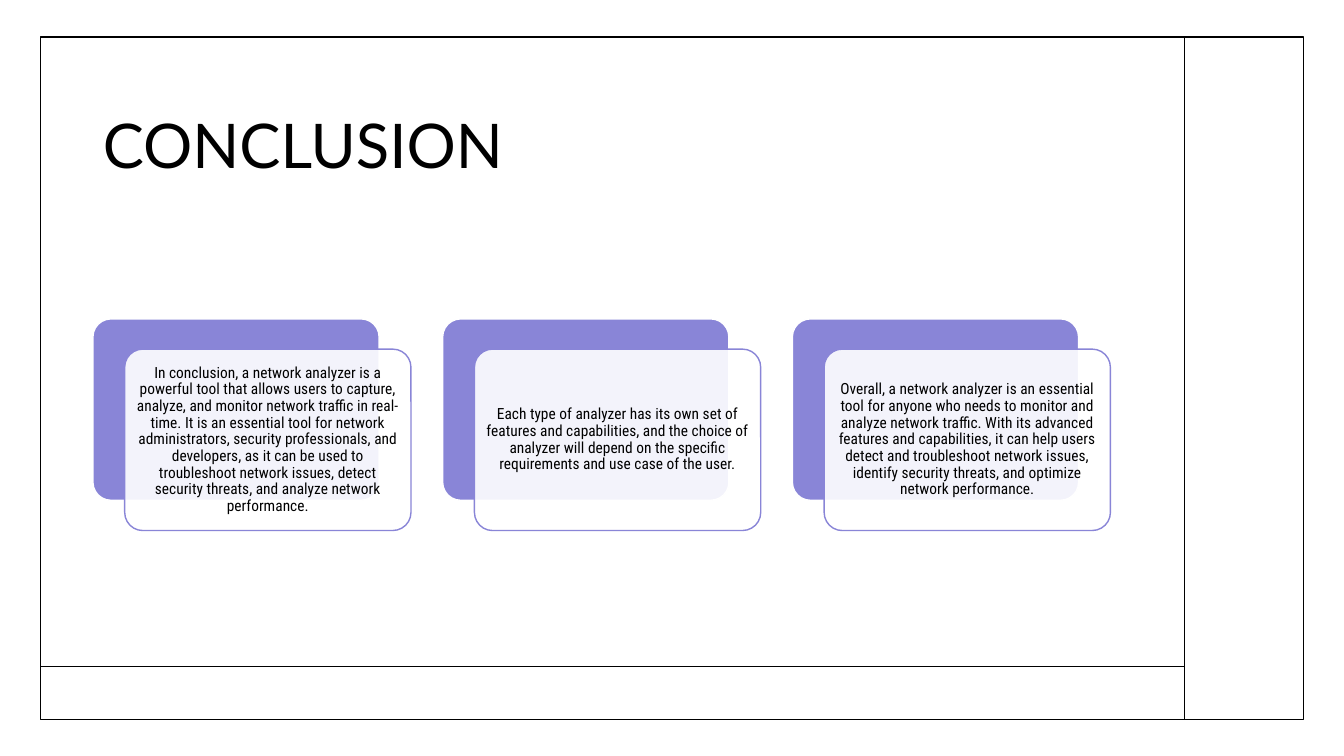
from dataclasses import dataclass

from lxml.etree import SubElement
from pptx import Presentation
from pptx.dml.color import RGBColor
from pptx.enum.shapes import MSO_CONNECTOR, MSO_SHAPE
from pptx.enum.text import MSO_ANCHOR, PP_ALIGN
from pptx.oxml.ns import qn
from pptx.shapes.autoshape import Shape
from pptx.slide import Slide
from pptx.text.text import TextFrame
from pptx.util import Pt

COLORS = {"ink": "000000", "paper": "FFFFFF", "violet": "8985D7"}


@dataclass
class Box:
    left: float
    top: float
    width: float
    height: float

    def shift(self, right: float, down: float) -> "Box":
        return Box(self.left + right, self.top + down, self.width, self.height)

    def lengths(self) -> list[Pt]:
        return [Pt(v) for v in (self.left, self.top, self.width, self.height)]


@dataclass
class Rule:
    x1: float
    y1: float
    x2: float
    y2: float


FRAME = Box(28.8, 26.6, 902.2, 487.4)
TITLE = Box(66.4, 64.1, 726.5, 84.2)
RULES = [Rule(29.5, 475.9, 846, 475.9), Rule(846, 26.6, 846, 513.4)]
CARD = Box(66.4, 227.8, 204.5, 129.6)
PITCH = 249.8
OFFSET = (22.7, 21.6)
TEXTS = [
    "In conclusion, a network analyzer is a powerful tool that allows users to "
    "capture, analyze, and monitor network traffic in real-time. It is an essential "
    "tool for network administrators, security professionals, and developers, as it "
    "can be used to troubleshoot network issues, detect security threats, and "
    "analyze network performance.",
    "Each type of analyzer has its own set of features and capabilities, and the "
    "choice of analyzer will depend on the specific requirements and use case of "
    "the user.",
    "Overall, a network analyzer is an essential tool for anyone who needs to "
    "monitor and analyze network traffic. With its advanced features and "
    "capabilities, it can help users detect and troubleshoot network issues, "
    "identify security threats, and optimize network performance.",
]


def color(name: str) -> RGBColor:
    return RGBColor.from_string(COLORS[name])


def add_panel(slide: Slide, kind: MSO_SHAPE, box: Box, line: str, fill: str = "") -> Shape:
    """Draw an outlined shape, hollow unless a fill is named."""
    panel = slide.shapes.add_shape(kind, *box.lengths())
    panel.shadow.inherit = False
    panel.line.color.rgb = color(line)
    panel.line.width = Pt(1)
    if fill:
        panel.fill.solid()
        panel.fill.fore_color.rgb = color(fill)
    else:
        panel.fill.background()
    if kind == MSO_SHAPE.ROUNDED_RECTANGLE:
        panel.adjustments[0] = 0.1
    return panel


def add_rule(slide: Slide, rule: Rule) -> None:
    ends = [Pt(v) for v in (rule.x1, rule.y1, rule.x2, rule.y2)]
    line = slide.shapes.add_connector(MSO_CONNECTOR.STRAIGHT, *ends)
    line.line.color.rgb = color("ink")
    line.line.width = Pt(1)
    SubElement(line._element.spPr, qn("a:effectLst"))


def set_text(frame: TextFrame, text: str, font: str, size: float, align: PP_ALIGN) -> None:
    frame.text = text
    frame.word_wrap = True
    frame.vertical_anchor = MSO_ANCHOR.MIDDLE
    para = frame.paragraphs[0]
    para.alignment = align
    para.line_spacing = 0.9
    style = para.runs[0].font
    style.name = font
    style.size = Pt(size)
    style.color.rgb = color("ink")


def set_alpha(shape: Shape, percent: int) -> None:
    """Set the opacity of a solid fill."""
    tint = shape._element.spPr.find(qn("a:solidFill"))[0]
    SubElement(tint, qn("a:alpha"), val=str(percent * 1000))


def add_card(slide: Slide, box: Box, text: str) -> None:
    """Draw a violet back panel and an offset, see-through text panel."""
    round_rect = MSO_SHAPE.ROUNDED_RECTANGLE
    add_panel(slide, round_rect, box, "paper", "violet")
    front = add_panel(slide, round_rect, box.shift(*OFFSET), "violet", "paper")
    set_alpha(front, 90)
    frame = front.text_frame
    frame.margin_left = frame.margin_right = Pt(3.6)
    frame.margin_top = frame.margin_bottom = Pt(3.6)
    set_text(frame, text, "Roboto Condensed", 11, PP_ALIGN.CENTER)


def main() -> None:
    deck = Presentation()
    deck.slide_width, deck.slide_height = Pt(960), Pt(540)
    slide = deck.slides.add_slide(deck.slide_layouts[6])
    add_panel(slide, MSO_SHAPE.RECTANGLE, FRAME, "ink")
    title = slide.shapes.add_textbox(*TITLE.lengths())
    set_text(title.text_frame, "CONCLUSION", "Lato", 44, PP_ALIGN.LEFT)
    for rule in RULES:
        add_rule(slide, rule)
    for i, text in enumerate(TEXTS):
        add_card(slide, CARD.shift(i * PITCH, 0), text)
    deck.save("out.pptx")


if __name__ == "__main__":
    main()
